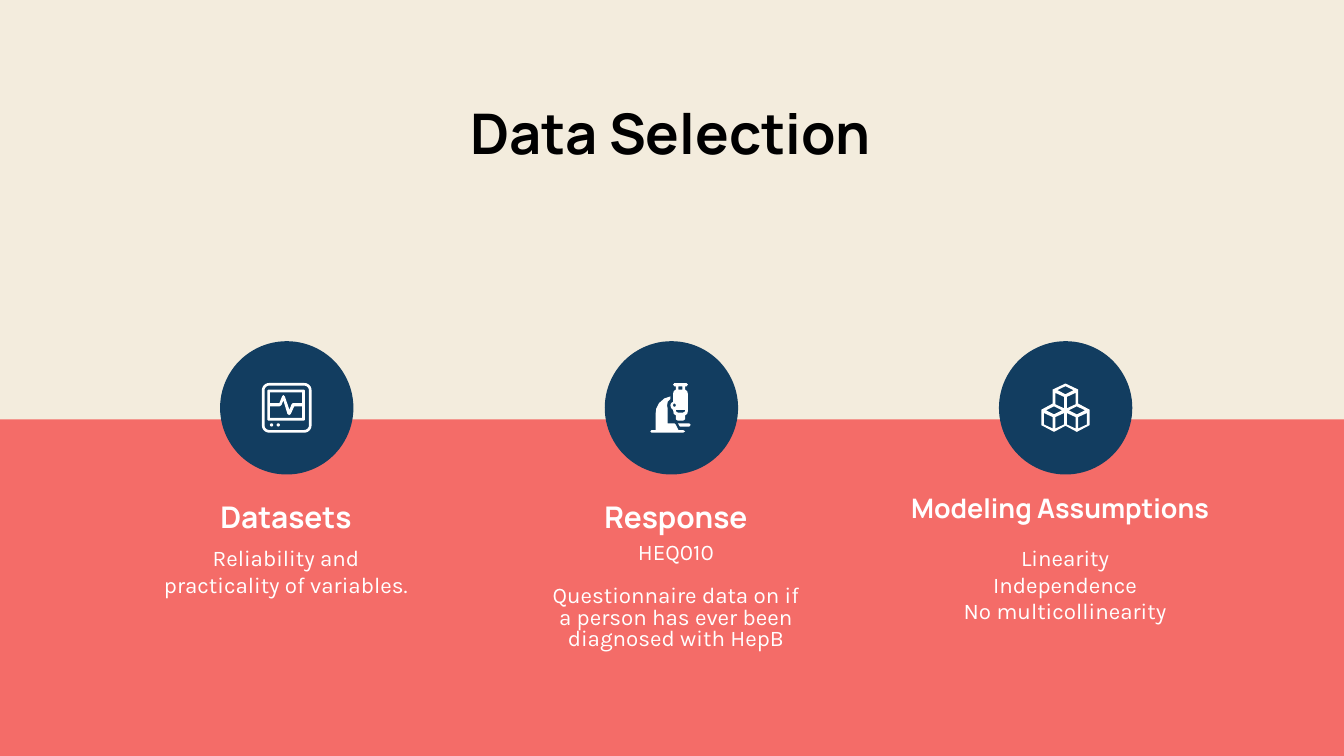
"""Build the Data Selection slide with three icon columns."""
import math
from dataclasses import dataclass

import pptx
import pptx.dml.color
import pptx.enum.shapes
import pptx.enum.text
import pptx.util

Cm = pptx.util.Cm
Pt = pptx.util.Pt
Align = pptx.enum.text.PP_ALIGN
Anchor = pptx.enum.text.MSO_ANCHOR
Preset = pptx.enum.shapes.MSO_SHAPE
Contour = list[tuple[float, float]]

COLORS = {"cream": "F3ECDD", "coral": "F46C68", "navy": "123D60", "white": "FFFFFF", "black": "000000"}
ICON_UNIT = 0.0254
DISC_TOP, DISC_SIZE = 6.45, 2.52


@dataclass(frozen=True)
class Area:
    left: float
    top: float
    width: float
    height: float


@dataclass(frozen=True)
class TextStyle:
    font: str
    size: float
    color: str = "white"
    bold: bool = False
    align: Align = Align.CENTER
    anchor: Anchor = Anchor.TOP
    line_spacing: float = 1.0
    gap: float = 0


@dataclass(frozen=True)
class Icon:
    left: float
    top: float
    pieces: list[list[Contour]]


@dataclass(frozen=True)
class Column:
    heading: str
    heading_area: Area
    heading_style: TextStyle
    lines: list[str]
    body_area: Area
    body_style: TextStyle
    disc_left: float
    icon: Icon


def rgb(name: str) -> pptx.dml.color.RGBColor:
    """Return a named colour."""
    return pptx.dml.color.RGBColor.from_string(COLORS[name])


def rounded(left: float, top: float, right: float, bottom: float, radius: float) -> Contour:
    """Return the outline of a rounded rectangle."""
    centers = [(right - radius, bottom - radius), (left + radius, bottom - radius),
               (left + radius, top + radius), (right - radius, top + radius)]
    return [(x + radius * math.cos(math.radians(angle)), y + radius * math.sin(math.radians(angle)))
            for corner, (x, y) in enumerate(centers)
            for angle in range(corner * 90, corner * 90 + 91, 15)]


def cube_faces(center: float, top: float) -> list[Contour]:
    """Return the three visible faces of one cube."""
    lid = [(center, top + 2), (center + 6, top + 5), (center, top + 8), (center - 6, top + 5)]
    sides = [[(center + side * 7.5, top + 7), (center + side, top + 10),
              (center + side, top + 18.5), (center + side * 7.5, top + 15.5)] for side in (-1, 1)]
    return [lid, *sides]


def monitor_pieces() -> list[list[Contour]]:
    """Return the frame, screen and lamps of the monitor."""
    above = [(30, 7), (30, 15), (23, 15), (22, 16), (20.5, 20), (17, 10), (16, 9), (15, 10),
             (13, 15), (6, 15), (6, 7)]
    below = [(16, 13), (19, 23), (20.3, 24), (21.5, 23), (24, 17.5), (30, 17.5), (30, 26),
             (6, 26), (6, 17.5), (13, 17.5), (14.5, 16.5)]
    lamps = [[rounded(left, 30, left + 2.4, 32.4, 1.2)] for left in (11, 6)]
    return [[rounded(0, 0, 37, 37, 5.5), rounded(2, 2, 35, 35, 3.5)],
            [rounded(4, 5, 32, 28, 1), above, below], *lamps]


def microscope_pieces() -> list[list[Contour]]:
    """Return the tube, stage and stand of the microscope."""
    tube = [(18, 0), (27, 0), (28, 1.2), (27, 2.5), (26, 2.5), (26, 5), (27.5, 6), (28, 8), (28, 21),
            (27.5, 23), (26, 24), (26, 27), (24.5, 28), (20.5, 28), (19, 27), (19, 24), (17.5, 23),
            (17, 20), (15.5, 18.5), (15, 16.5), (15.5, 15), (17, 14), (17, 8), (17.5, 6), (19, 5),
            (19, 2.5), (18, 2.5), (17, 1.2)]
    window = [(21, 2.5), (24, 2.5), (24, 5), (21, 5)]
    lens = [(19, 20), (26, 20), (26, 21), (24.5, 22), (20.5, 22), (19, 21)]
    stage = [(20.5, 30), (29, 30), (30, 31.2), (29, 32.5), (22, 32.5)]
    stand = [(15, 10), (10.5, 11.5), (6.5, 15), (4.5, 19), (4, 23), (4, 35), (1, 35), (0, 36),
             (1, 37), (24.5, 37), (26, 36), (24.5, 35), (21, 35), (19, 31), (18, 30), (13, 30),
             (13, 19), (12.5, 17), (13, 14), (15, 12)]
    return [[tube, window, rounded(17, 15.3, 19, 17.7, 1), lens], [stage], [stand]]


def cubes_pieces() -> list[list[Contour]]:
    """Return three stacked cubes."""
    edge = [(18, 0), (27.5, 4.5), (27.5, 15), (36, 19.5), (36, 31), (26.5, 36)]
    outline = edge + [(18, 31.5)] + [(36 - x, y) for x, y in reversed(edge[1:])]
    faces = [face for center, top in ((18, 0), (9.5, 15), (26.5, 15)) for face in cube_faces(center, top)]
    return [[outline, *faces]]


def paint(shape, color: str) -> None:
    """Give a shape a plain fill without line or shadow."""
    shape.shadow.inherit = False
    shape.fill.solid()
    shape.fill.fore_color.rgb = rgb(color)
    shape.line.fill.background()


def add_preset(page, preset: Preset, area: Area, color: str) -> None:
    """Draw a filled preset shape."""
    paint(page.shapes.add_shape(preset, Cm(area.left), Cm(area.top), Cm(area.width), Cm(area.height)), color)


def add_text(page, lines: list[str], area: Area, style: TextStyle) -> None:
    """Write one paragraph for each line."""
    box = page.shapes.add_textbox(Cm(area.left), Cm(area.top), Cm(area.width), Cm(area.height))
    frame = box.text_frame
    frame.word_wrap = True
    frame.vertical_anchor = style.anchor
    frame.margin_left = frame.margin_right = frame.margin_top = frame.margin_bottom = Cm(0.25)
    for index, line in enumerate(lines):
        para = frame.add_paragraph() if index else frame.paragraphs[0]
        para.alignment = style.align
        para.line_spacing = style.line_spacing
        para.space_before = Pt(style.gap if index else 0)
        span = para.add_run()
        span.text = line
        span.font.name = style.font
        span.font.size = Pt(style.size)
        span.font.bold = style.bold
        span.font.color.rgb = rgb(style.color)


def add_icon(page, icon: Icon) -> None:
    """Draw the pieces of an icon as one group."""
    group = page.shapes.add_group_shape()
    for piece in icon.pieces:
        contours = [[(Cm(icon.left + x * ICON_UNIT), Cm(icon.top + y * ICON_UNIT)) for x, y in contour]
                    for contour in piece]
        builder = group.shapes.build_freeform(*contours[0][0])
        builder.add_line_segments(contours[0][1:], close=True)
        for contour in contours[1:]:
            builder.move_to(*contour[0])
            builder.add_line_segments(contour[1:], close=True)
        paint(builder.convert_to_shape(), "white")


def add_column(page, column: Column) -> None:
    """Draw the disc, icon and texts of a column."""
    add_text(page, [column.heading], column.heading_area, column.heading_style)
    add_text(page, column.lines, column.body_area, column.body_style)
    add_preset(page, Preset.OVAL, Area(column.disc_left, DISC_TOP, DISC_SIZE, DISC_SIZE), "navy")
    add_icon(page, column.icon)


def main() -> None:
    """Build and save the deck."""
    deck = pptx.Presentation()
    deck.slide_width, deck.slide_height = Cm(25.4), Cm(14.29)
    page = deck.slides.add_slide(deck.slide_layouts[6])
    page.background.fill.solid()
    page.background.fill.fore_color.rgb = rgb("cream")
    add_preset(page, Preset.RECTANGLE, Area(0, 7.93, 25.4, 6.36), "coral")
    title = TextStyle("Manrope", 30, "black", True, anchor=Anchor.MIDDLE)
    add_text(page, ["Data Selection"], Area(4.27, 1.19, 16.81, 2.62), title)

    heading = TextStyle("Manrope", 16, bold=True, anchor=Anchor.BOTTOM)
    small_heading = TextStyle("Manrope", 14.4, bold=True, align=Align.LEFT, anchor=Anchor.BOTTOM)
    body = TextStyle("Karla", 12)
    tight_body = TextStyle("Karla", 12, line_spacing=0.8, gap=11.5)
    columns = [
        Column("Datasets", Area(2.79, 8.56, 5.23, 1.8), heading,
               ["Reliability and practicality of variables."], Area(2.79, 10.03, 5.23, 3.1), body,
               4.16, Icon(4.95, 7.24, monitor_pieces())),
        Column("Response", Area(10.16, 8.56, 5.23, 1.8), heading,
               ["HEQ010", "Questionnaire data on if a person has ever been diagnosed with HepB"],
               Area(10.16, 10.03, 5.23, 3.1), tight_body,
               11.43, Icon(12.29, 7.24, microscope_pieces())),
        Column("Modeling Assumptions", Area(16.97, 9.07, 6.35, 1.09), small_heading,
               ["Linearity", "Independence", "No multicollinearity"],
               Area(17.3, 10.03, 5.66, 3.1), body,
               18.88, Icon(19.68, 7.25, cubes_pieces())),
    ]
    for column in columns:
        add_column(page, column)
    deck.save("out.pptx")


if __name__ == "__main__":
    main()
